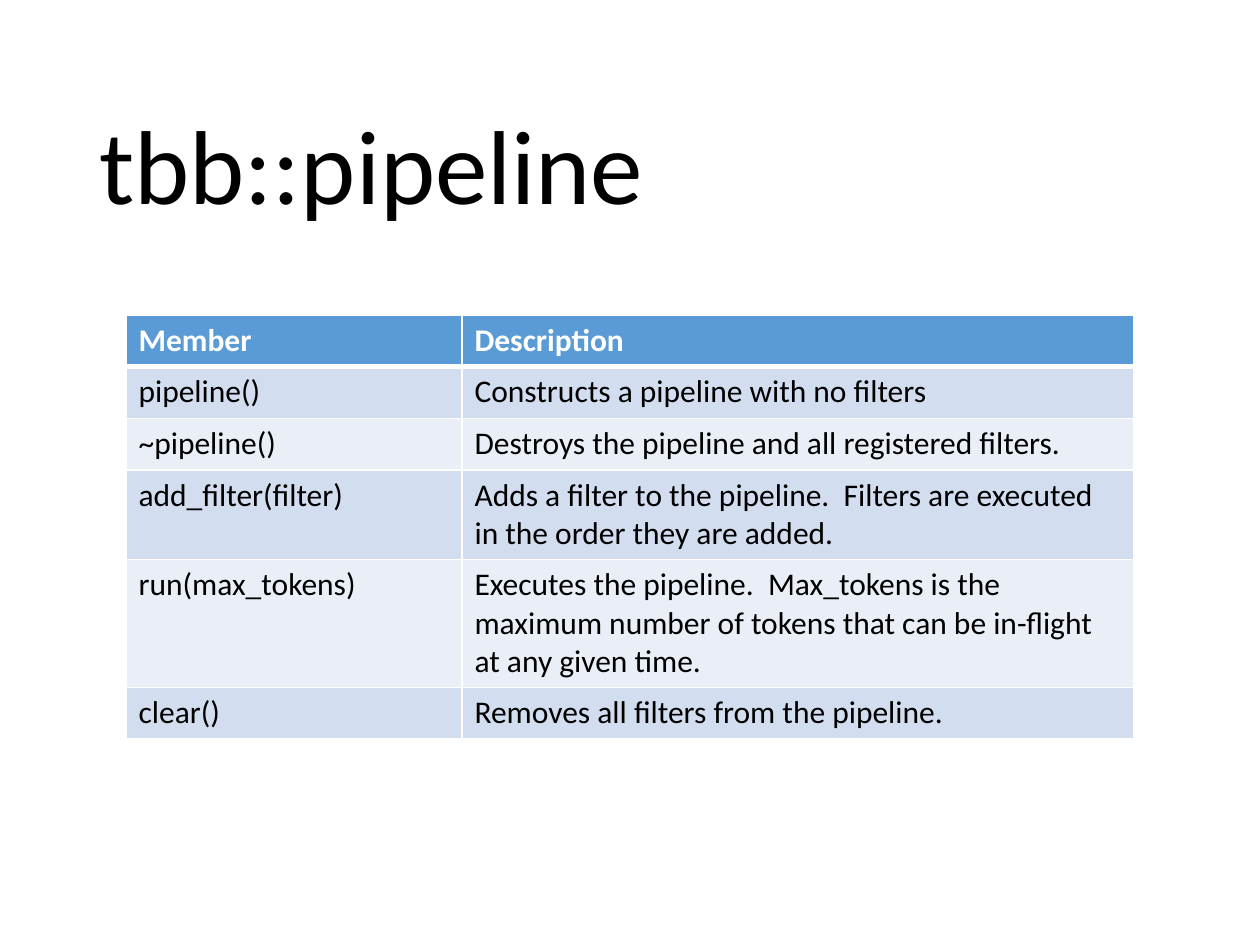
import pptx
import pptx.dml.color
import pptx.enum.text
import pptx.oxml
import pptx.oxml.ns
import pptx.util
from pptx.util import Inches

WHITE = pptx.dml.color.RGBColor(0xFF, 0xFF, 0xFF)
BLACK = pptx.dml.color.RGBColor(0x00, 0x00, 0x00)
HEADER_BLUE = pptx.dml.color.RGBColor(0x5B, 0x9B, 0xD5)
BANDS = (
    pptx.dml.color.RGBColor(0xD2, 0xDE, 0xEF),
    pptx.dml.color.RGBColor(0xEA, 0xEF, 0xF7),
)
FONT = "Calibri"

MEMBERS = [
    ("Member", "Description"),
    ("pipeline()", "Constructs a pipeline with no filters"),
    ("~pipeline()", "Destroys the pipeline and all registered filters."),
    ("add_filter(filter)",
     "Adds a filter to the pipeline.  Filters are executed in the order they are added."),
    ("run(max_tokens)",
     "Executes the pipeline.  Max_tokens is the maximum number of tokens "
     "that can be in-flight at any given time."),
    ("clear()", "Removes all filters from the pipeline."),
]


def write(frame, text, size=18, color=BLACK, bold=False, spacing=1.0):
    paragraph = frame.paragraphs[0]
    paragraph.alignment = pptx.enum.text.PP_ALIGN.LEFT
    paragraph.line_spacing = spacing
    run = paragraph.add_run()
    run.text = text
    run.font.name = FONT
    run.font.size = pptx.util.Pt(size)
    run.font.color.rgb = color
    run.font.bold = bold


def set_borders(cell, top=1, bottom=1):
    properties = cell._tc.get_or_add_tcPr()
    widths = {"lnL": 1, "lnR": 1, "lnT": top, "lnB": bottom}
    for position, (side, width) in enumerate(widths.items()):
        border = pptx.oxml.parse_xml(
            f'<a:{side} {pptx.oxml.ns.nsdecls("a")} w="{pptx.util.Pt(width)}">'
            f'<a:solidFill><a:srgbClr val="{WHITE}"/></a:solidFill></a:{side}>'
        )
        properties.insert(position, border)


def place_title(slide, left, top, width, height):
    title = slide.shapes.title
    title.left, title.top, title.width, title.height = left, top, width, height
    title.text_frame.word_wrap = True
    title.text_frame.vertical_anchor = pptx.enum.text.MSO_ANCHOR.BOTTOM
    write(title.text_frame, "tbb::pipeline", size=60, spacing=0.9)


def place_members(slide, left, top, width, row_height):
    table = slide.shapes.add_table(
        len(MEMBERS), 2, left, top, width, row_height * len(MEMBERS)
    ).table
    table.columns[0].width = width // 3
    table.columns[1].width = width - width // 3
    for row, texts in enumerate(MEMBERS):
        is_header = row == 0
        for column, text in enumerate(texts):
            cell = table.cell(row, column)
            cell.fill.solid()
            cell.fill.fore_color.rgb = HEADER_BLUE if is_header else BANDS[(row - 1) % 2]
            set_borders(cell, top=3 if row == 1 else 1, bottom=3 if is_header else 1)
            write(cell.text_frame, text, color=WHITE if is_header else BLACK, bold=is_header)


def main():
    presentation = pptx.Presentation()
    presentation.slide_width = Inches(10)
    presentation.slide_height = Inches(7.5)
    slide = presentation.slides.add_slide(presentation.slide_layouts[5])
    slide.background.fill.solid()
    slide.background.fill.fore_color.rgb = WHITE
    place_members(slide, Inches(1), Inches(2.5), Inches(8), Inches(0.41))
    place_title(slide, Inches(0.69), Inches(0.4), Inches(8.62), Inches(1.45))
    presentation.save("out.pptx")


if __name__ == "__main__":
    main()
